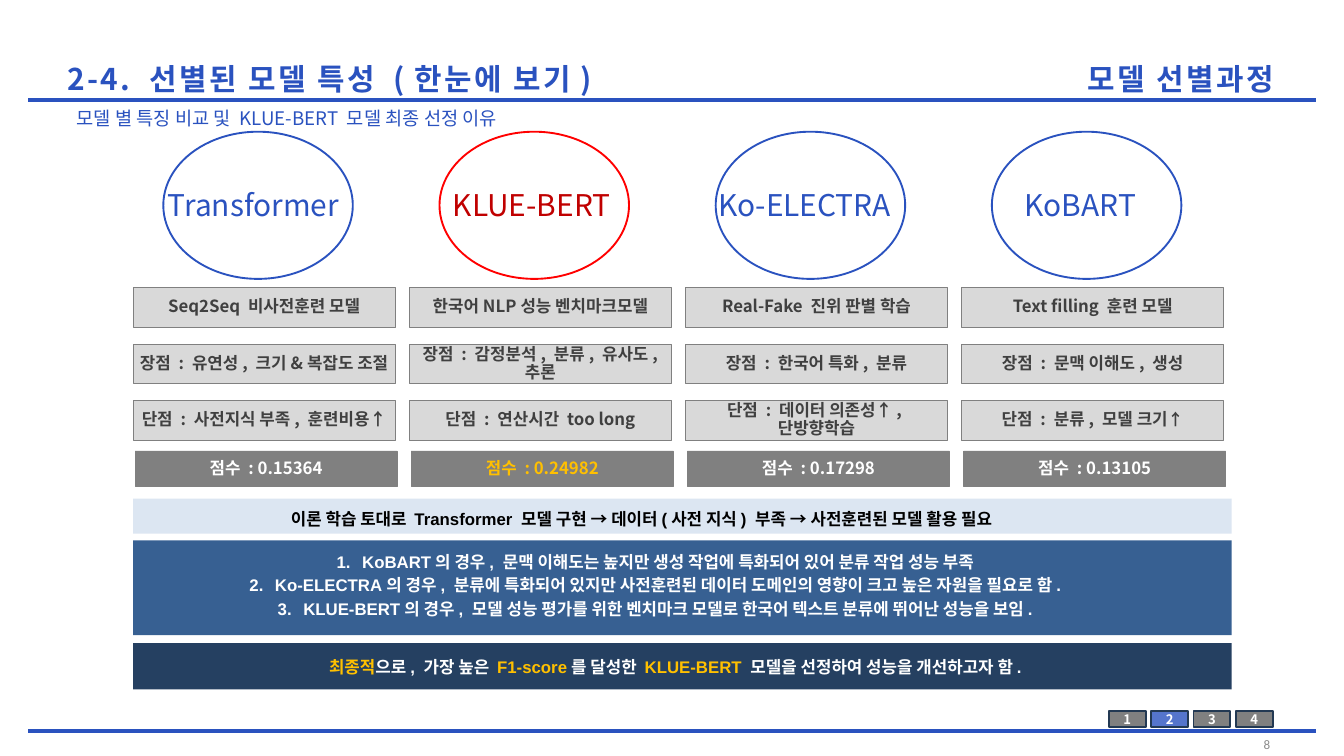
from lxml.etree import SubElement
from pptx import Presentation
from pptx.dml.color import RGBColor as Rgb
from pptx.enum.shapes import MSO_CONNECTOR as Connector, MSO_SHAPE as Shape
from pptx.enum.text import MSO_ANCHOR as Anchor, MSO_AUTO_SIZE as AutoSize, PP_ALIGN as Align
from pptx.oxml.ns import qn
from pptx.util import Inches, Pt

COLORS = {
    "blue": "2A52BF", "red": "FF0000", "dark_red": "C00000", "gold": "FFC000",
    "light_gray": "D9D9D9", "gray": "808080", "dark_gray": "404040", "page_gray": "8C8C8C",
    "white": "FFFFFF", "black": "000000", "pale": "DCE6F2", "steel": "376092",
    "navy": "254061", "active": "5575CC", "tab_edge": "233953",
}
SANS, ARIAL, CALIBRI = "Noto Sans CJK KR", "Arial", "Calibri"

MODELS = [
    ("Transformer", 2.4, "blue", "blue", "white", "0.15364",
     ["Seq2Seq 비사전훈련 모델", "장점 : 유연성, 크기&복잡도 조절",
      [("단점 : 사전지식 부족, 훈련비용", {}), ("↑", {"font": ARIAL})]]),
    ("KLUE-BERT", 6.64, "dark_red", "red", "gold", "0.24982",
     ["한국어NLP성능 벤치마크모델", "장점 : 감정분석, 분류, 유사도, 추론",
      "단점 : 연산시간 too long"]),
    ("Ko-ELECTRA", 10.59, "blue", "blue", "white", "0.17298",
     ["Real-Fake 진위 판별 학습", "장점 : 한국어 특화, 분류",
      "단점 : 데이터 의존성↑,단방향학습"]),
    ("KoBART", 15.15, "blue", "blue", "white", "0.13105",
     ["Text filling 훈련 모델", "장점 : 문맥 이해도, 생성",
      [("단점 : 분류, 모델 크기", {}), ("↑", {"size": 17})]]),
]
PREMISE = [
    ("이론 학습 토대로 Transformer 모델 구현 ", {}), ("→ ", {"font": CALIBRI}),
    ("데이터(사전 지식) 부족 ", {}), ("→ ", {"font": CALIBRI}),
    ("사전훈련된 모델 활용 필요", {}),
]
REASONS = [
    "KoBART의 경우, 문맥 이해도는 높지만 생성 작업에 특화되어 있어 분류 작업 성능 부족",
    "Ko-ELECTRA의 경우, 분류에 특화되어 있지만 사전훈련된 데이터 도메인의 영향이 크고 높은 자원을 필요로 함.",
    "KLUE-BERT의 경우, 모델 성능 평가를 위한 벤치마크 모델로 한국어 텍스트 분류에 뛰어난 성능을 보임.",
]
GOLD = {"color": "gold"}
CONCLUSION = [
    ("최종적", GOLD), ("으로, 가장 높은 ", {}), ("F1-score", GOLD), ("를 달성한 ", {}),
    ("KLUE-BERT ", GOLD), ("모델을 선정하여 성능을 개선하고자 함.", {}),
]


class ComparisonSlide:
    """Holds the style and the slide on which the models are compared."""

    def __init__(self, deck):
        self.slide = deck.slides.add_slide(deck.slide_layouts[5])
        self.shapes = self.slide.shapes

    def color(self, name):
        return Rgb.from_string(COLORS[name])

    def add_words(self, paragraph, parts, align=Align.LEFT, **style):
        if isinstance(parts, str):
            parts = [(parts, {})]
        paragraph.alignment = align
        for words, changes in parts:
            look = {"size": 18, "font": SANS, "color": "blue", "bold": False,
                    "spacing": 0, **style, **changes}
            run = paragraph.add_run()
            run.text = words
            run.font.size = Pt(look["size"])
            run.font.name = look["font"]
            run.font.bold = look["bold"]
            run.font.color.rgb = self.color(look["color"])
            if look["spacing"]:
                run._r.get_or_add_rPr().set("spc", str(look["spacing"]))

    def rule(self, y):
        line = self.shapes.add_connector(
            Connector.STRAIGHT, Inches(0.42), Inches(y), Inches(19.58), Inches(y))
        line.line.color.rgb = self.color("blue")
        line.line.width = Pt(3.75)
        SubElement(line._element.spPr, qn("a:effectLst"))

    def text(self, box, parts, anchor=Anchor.TOP, **style):
        label = self.shapes.add_textbox(*map(Inches, box))
        frame = label.text_frame
        frame.word_wrap = True
        frame.vertical_anchor = anchor
        self.add_words(frame.paragraphs[0], parts, **style)
        return frame

    def heading(self, frame, words, align):
        frame.word_wrap = True
        frame.auto_size = AutoSize.NONE
        frame.vertical_anchor = Anchor.BOTTOM
        frame.margin_left = frame.margin_right = frame.margin_top = frame.margin_bottom = 0
        self.add_words(frame.paragraphs[0], words, align, size=32, bold=True, spacing=260)

    def title(self, box, words):
        title = self.shapes.title
        title.left, title.top, title.width, title.height = map(Inches, box)
        self.heading(title.text_frame, words, Align.LEFT)

    def section(self, box, words):
        self.heading(self.shapes.add_textbox(*map(Inches, box)).text_frame, words, Align.RIGHT)

    def shape(self, kind, box, fill=None, edge=None, width=0.75):
        shape = self.shapes.add_shape(kind, *map(Inches, box))
        shape.shadow.inherit = False
        if fill:
            shape.fill.solid()
            shape.fill.fore_color.rgb = self.color(fill)
        else:
            shape.fill.background()
        if edge:
            shape.line.color.rgb = self.color(edge)
            shape.line.width = Pt(width)
        else:
            shape.line.fill.background()
        return shape

    def card(self, box, parts, fill, color, edge="gray", width=0.75, size=18, spacing=0.9):
        frame = self.shape(Shape.RECTANGLE, box, fill, edge, width).text_frame
        frame.vertical_anchor = Anchor.MIDDLE
        frame.paragraphs[0].line_spacing = spacing
        self.add_words(frame.paragraphs[0], parts, Align.CENTER, color=color, size=size, bold=True)

    def numbered(self, box, items, **style):
        frame = self.text(box, [], Anchor.MIDDLE)
        for index, item in enumerate(items):
            paragraph = frame.add_paragraph() if index else frame.paragraphs[0]
            properties = paragraph._p.get_or_add_pPr()
            properties.set("marL", str(Inches(0.38)))
            properties.set("indent", str(-Inches(0.38)))
            SubElement(properties, qn("a:buFont"), typeface="+mj-lt")
            SubElement(properties, qn("a:buAutoNum"), type="arabicPeriod")
            if index:
                paragraph.space_before = Pt(3.6)
            self.add_words(paragraph, item, Align.CENTER, **style)


def main():
    deck = Presentation()
    deck.slide_width, deck.slide_height = Inches(20), Inches(11.25)
    page = ComparisonSlide(deck)

    page.rule(1.49)
    page.rule(10.88)
    page.title((1, 0.9, 9.67, 0.54), "2-4. 선별된 모델 특성 (한눈에 보기)")
    page.section((14.96, 0.9, 4, 0.54), "모델 선별과정")
    page.text((1.04, 1.54, 17.91, 0.39), "모델 별 특징 비교 및 KLUE-BERT 모델 최종 선정 이유", size=20)

    for column, (name, name_left, name_color, ring, score_color, score, traits) in enumerate(MODELS):
        left = 1.98 + 4.11 * column
        page.shape(Shape.OVAL, (left + 0.45, 1.96, 2.82, 2.19), edge=ring, width=2)
        page.text((name_left, 2.73, 3.41, 0.64), name, size=32, color=name_color)
        for row, trait in enumerate(traits):
            page.card((left, 4.28 + 0.84 * row, 3.9, 0.59), trait, "light_gray", "dark_gray")
        page.card((left + 0.03, 6.71, 3.9, 0.53), f"점수 : {score}", "gray", score_color)

    for top, height, fill in [(7.42, 0.52, "pale"), (8.04, 1.41, "steel"), (9.57, 0.69, "navy")]:
        page.shape(Shape.RECTANGLE, (1.98, top, 16.35, height), fill)
    page.text((4.23, 7.52, 13.97, 0.4), PREMISE, font=ARIAL, color="black", bold=True)
    page.numbered((0.6, 8.16, 18.3, 1.1), REASONS, font=ARIAL, color="white", bold=True)
    page.text((0.9, 9.57, 18.3, 0.69), CONCLUSION, Anchor.MIDDLE,
              align=Align.CENTER, font=ARIAL, color="white", bold=True)

    for step in range(4):
        page.card((16.5 + 0.63 * step, 10.58, 0.55, 0.24), str(step + 1),
                  "active" if step == 1 else "gray", "white", "tab_edge", 2, 14, 1)
    page.text((16.67, 10.93, 2.33, 0.28), "8", Anchor.MIDDLE,
              align=Align.RIGHT, size=14, font=CALIBRI, color="page_gray")

    deck.save("out.pptx")


if __name__ == "__main__":
    main()
